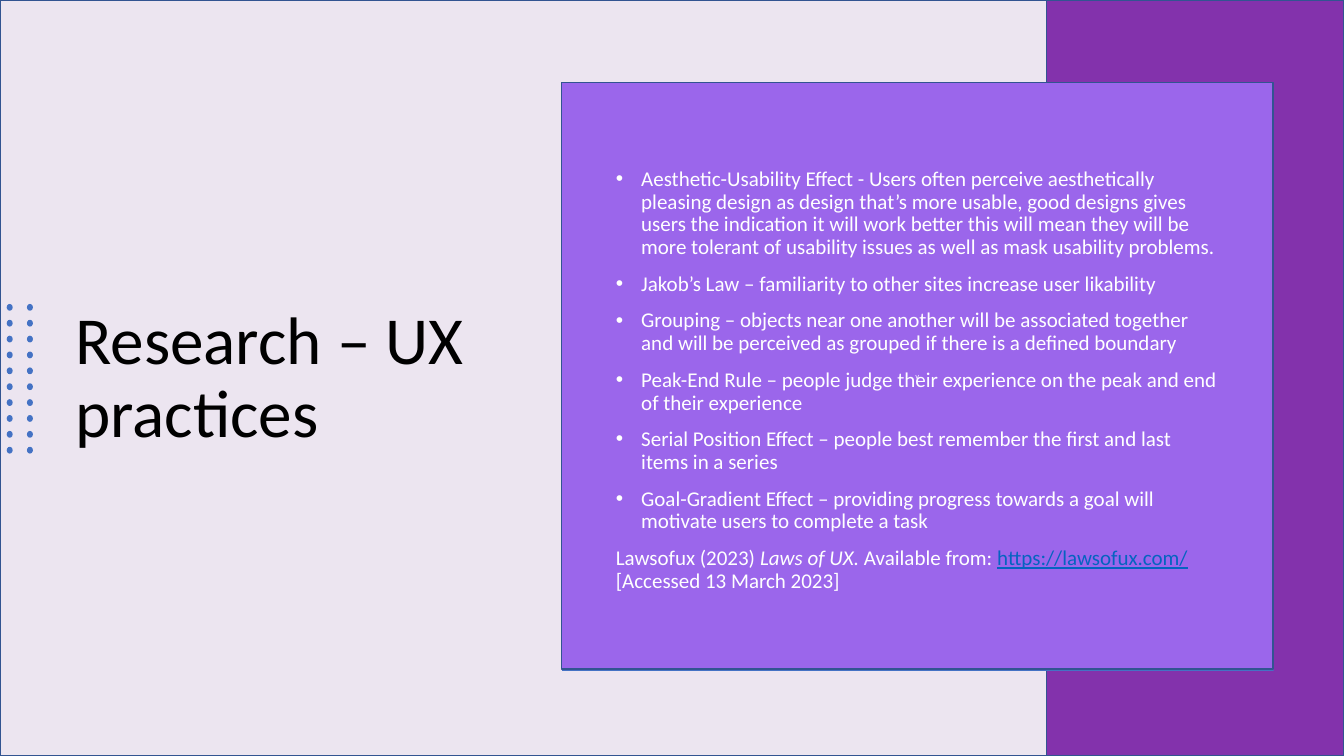
from dataclasses import dataclass
from typing import Optional

from lxml.etree import SubElement
from pptx import Presentation
from pptx.dml.color import RGBColor
from pptx.enum.shapes import MSO_SHAPE
from pptx.enum.text import MSO_ANCHOR, PP_ALIGN
from pptx.oxml.ns import qn
from pptx.util import Cm, Pt

FONT = "Calibri"
BLACK = RGBColor(0x00, 0x00, 0x00)
WHITE = RGBColor(0xFF, 0xFF, 0xFF)
LAVENDER = RGBColor(0xEC, 0xE5, 0xF0)
PURPLE = RGBColor(0x83, 0x32, 0xAC)
VIOLET = RGBColor(0x9B, 0x66, 0xEB)
BLUE = RGBColor(0x44, 0x72, 0xC4)
OUTLINE = RGBColor(0x32, 0x54, 0x91)
LINK = RGBColor(0x05, 0x63, 0xC1)

WIDTH, HEIGHT = 33.87, 19.05
DOT_COLUMNS, DOT_ROWS = 2, 10
DOT_LEFT, DOT_TOP = 0.17, 7.66
DOT_GAP_X, DOT_GAP_Y = 0.51, 0.4


@dataclass(frozen=True)
class Box:
    """A rectangle in centimetres."""
    left: float
    top: float
    width: float
    height: float

    def lengths(self) -> tuple:
        return Cm(self.left), Cm(self.top), Cm(self.width), Cm(self.height)


@dataclass(frozen=True)
class Panel:
    box: Box
    fill: RGBColor
    line: Optional[RGBColor] = OUTLINE
    label: str = ""


@dataclass(frozen=True)
class Span:
    text: str
    color: RGBColor = WHITE
    italic: bool = False
    underline: bool = False


PANELS = [
    Panel(Box(0, 0, WIDTH, HEIGHT), LAVENDER),
    Panel(Box(26.37, 0, 7.5, HEIGHT), PURPLE),
    Panel(Box(14.17, 2.13, 17.93, 14.78), BLUE, line=None),
    Panel(Box(14.15, 2.08, 17.93, 14.78), VIOLET, label="v"),
]

PRACTICES = [
    "Aesthetic-Usability Effect - Users often perceive aesthetically pleasing design as "
    "design that’s more usable, good designs gives users the indication it will work better "
    "this will mean they will be more tolerant of usability issues as well as mask "
    "usability problems.",
    "Jakob’s Law – familiarity to other sites increase user likability",
    "Grouping – objects near one another will be associated together and will be perceived "
    "as grouped if there is a defined boundary",
    "Peak-End Rule – people judge their experience on the peak and end of their experience",
    "Serial Position Effect – people best remember the first and last items in a series",
    "Goal-Gradient Effect – providing progress towards a goal will motivate users to "
    "complete a task",
]

REFERENCE = [
    Span("Lawsofux (2023) "),
    Span("Laws of UX. ", italic=True),
    Span("Available from: "),
    Span("https://lawsofux.com/", color=LINK, underline=True),
    Span(" [Accessed 13 March 2023]"),
]


def add_run(p, span: Span, size: float) -> None:
    r = p.add_run()
    r.text = span.text
    r.font.name = FONT
    r.font.size = Pt(size)
    r.font.color.rgb = span.color
    if span.italic:
        r.font.italic = True
    if span.underline:
        r.font.underline = True


def add_filled(shapes, kind: MSO_SHAPE, box: Box, fill: RGBColor,
               line: Optional[RGBColor] = None):
    sp = shapes.add_shape(kind, *box.lengths())
    sp.shadow.inherit = False
    sp.fill.solid()
    sp.fill.fore_color.rgb = fill
    if line is None:
        sp.line.fill.background()
    else:
        sp.line.color.rgb = line
        sp.line.width = Pt(1)
    return sp


def add_panel(s, panel: Panel) -> None:
    sp = add_filled(s.shapes, MSO_SHAPE.RECTANGLE, panel.box, panel.fill, panel.line)
    if panel.label:
        tf = sp.text_frame
        tf.vertical_anchor = MSO_ANCHOR.MIDDLE
        p = tf.paragraphs[0]
        p.alignment = PP_ALIGN.CENTER
        add_run(p, Span(panel.label), 6)


def add_dots(s) -> None:
    group = s.shapes.add_group_shape()
    for row in range(DOT_ROWS):
        for column in range(DOT_COLUMNS):
            box = Box(DOT_LEFT + column * DOT_GAP_X, DOT_TOP + row * DOT_GAP_Y, 0.15, 0.17)
            add_filled(group.shapes, MSO_SHAPE.OVAL, box, BLUE)


def add_text_frame(s, box: Box):
    tf = s.shapes.add_textbox(*box.lengths()).text_frame
    tf.word_wrap = True
    tf.vertical_anchor = MSO_ANCHOR.MIDDLE
    return tf


def set_bullet(p) -> None:
    pPr = p._p.get_or_add_pPr()
    pPr.set("marL", str(Cm(0.64)))
    pPr.set("indent", str(-Cm(0.64)))
    SubElement(pPr, qn("a:buFont"), typeface="Arial")
    SubElement(pPr, qn("a:buChar"), char="•")


def add_title(s) -> None:
    p = add_text_frame(s, Box(1.65, 2.9, 10.57, 13.31)).paragraphs[0]
    p.line_spacing = 0.9
    add_run(p, Span("Research – UX practices", color=BLACK), 48)


def add_body(s) -> None:
    tf = add_text_frame(s, Box(15.27, 3.28, 15.72, 12.62))
    paragraphs = [[Span(text)] for text in PRACTICES] + [REFERENCE]
    for i, spans in enumerate(paragraphs):
        p = tf.add_paragraph() if i else tf.paragraphs[0]
        if i < len(PRACTICES):
            set_bullet(p)
        p.line_spacing = 0.9
        if i:
            p.space_before = Pt(10)
        for span in spans:
            add_run(p, span, 15)


def main() -> None:
    prs = Presentation()
    prs.slide_width, prs.slide_height = Cm(WIDTH), Cm(HEIGHT)
    s = prs.slides.add_slide(prs.slide_layouts[6])
    for panel in PANELS:
        add_panel(s, panel)
    add_title(s)
    add_dots(s)
    add_body(s)
    prs.save("out.pptx")


if __name__ == "__main__":
    main()
